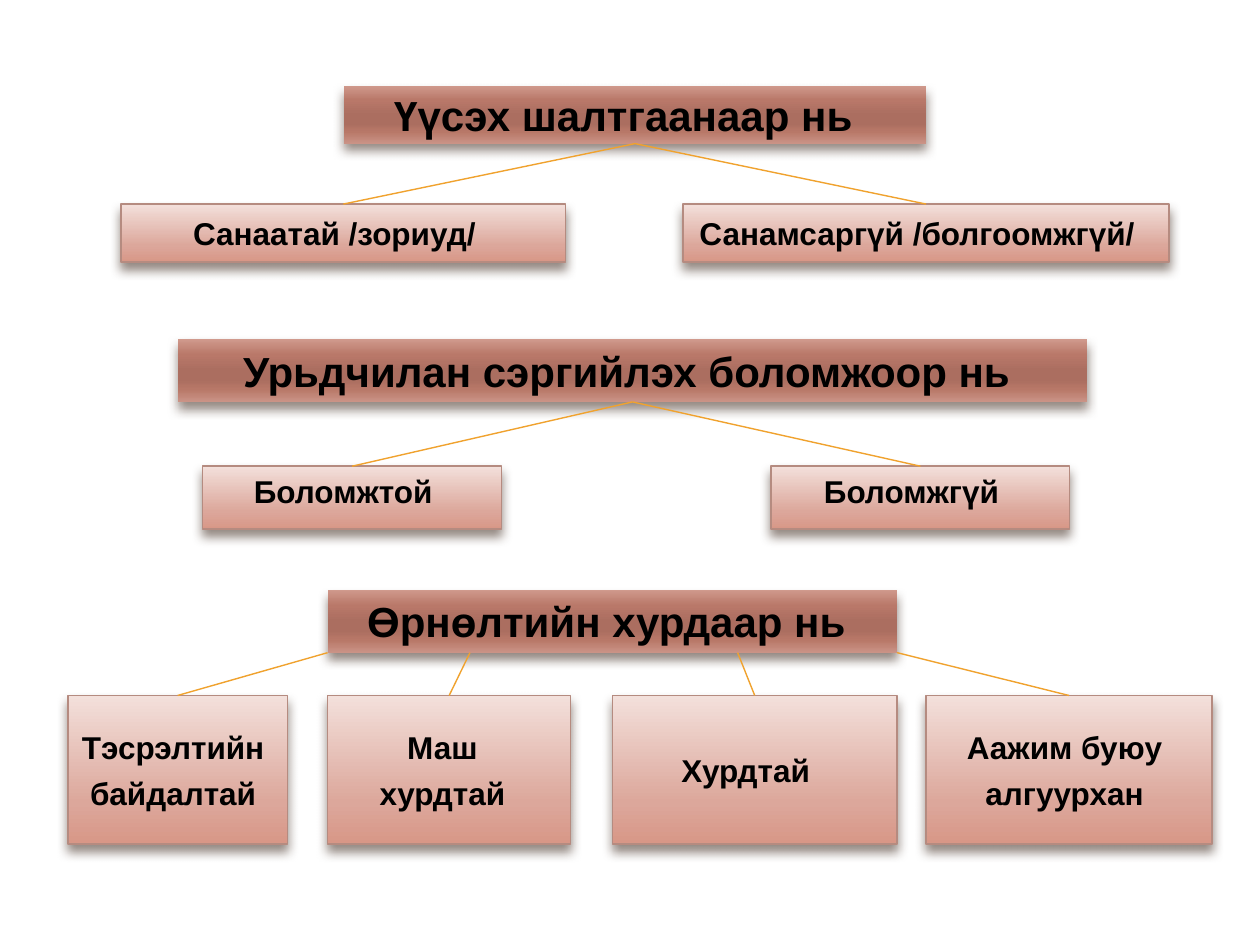
import pptx
import pptx.util
import pptx.dml.color
import pptx.enum.shapes
import pptx.enum.text
import pptx.oxml
import pptx.oxml.ns

qn = pptx.oxml.ns.qn
Pt = pptx.util.Pt
Anchor = pptx.enum.text.MSO_ANCHOR

deck = pptx.Presentation()
deck.slide_width = pptx.util.Inches(10)
deck.slide_height = pptx.util.Inches(7.5)
slide = deck.slides.add_slide(deck.slide_layouts[6])
column = deck.slide_width / 100
row = deck.slide_height / 75

HEADER_STOPS = [(0, "D09A8D"), (25, "B97869"), (50, "AB6E60"),
                (65, "AB6E60"), (80, "B87868"), (100, "CA9386")]
BRANCH_STOPS = [(0, "F3E0DB"), (72, "DCA79B"), (100, "D89787")]


def color(hex_value):
    return pptx.dml.color.RGBColor.from_string(hex_value)


def add_box(left, top, width, height, text, stops, size, anchor, offset):
    box = slide.shapes.add_shape(
        pptx.enum.shapes.MSO_SHAPE.RECTANGLE, round(left * column), round(top * row),
        round(width * column), round(height * row))
    box.fill.gradient()
    box.fill.gradient_angle = 270
    properties = box.element.spPr
    stop_list = properties.find(qn("a:gradFill")).find(qn("a:gsLst"))
    for stop in list(stop_list):
        stop_list.remove(stop)
    for position, shade in stops:
        stop_list.append(pptx.oxml.parse_xml(
            f'<a:gs {pptx.oxml.ns.nsdecls("a")} pos="{position * 1000}">'
            f'<a:srgbClr val="{shade}"/></a:gs>'))
    if stops is BRANCH_STOPS:
        box.line.color.rgb = color("B58B80")
        box.line.width = Pt(0.79)
    else:
        box.line.fill.background()
    box.shadow.inherit = False
    properties.find(qn("a:effectLst")).append(pptx.oxml.parse_xml(
        f'<a:outerShdw {pptx.oxml.ns.nsdecls("a")} blurRad="{Pt(6)}" dist="{Pt(4)}" '
        'dir="5400000" rotWithShape="0"><a:srgbClr val="4E3B30">'
        '<a:alpha val="60000"/></a:srgbClr></a:outerShdw>'))
    frame = box.text_frame
    frame.word_wrap = True
    frame.vertical_anchor = anchor
    frame.margin_right = round((1 + offset) * column)
    frame.text = text
    for index, paragraph in enumerate(frame.paragraphs):
        paragraph.alignment = pptx.enum.text.PP_ALIGN.CENTER
        paragraph.space_before = Pt(4.5 if index else 0)
        font = paragraph.runs[0].font
        font.name = "Arial"
        font.size = Pt(size)
        font.bold = True
        font.color.rgb = color("000000")


classifications = [
    {"header": (27.3, 6.8, 46.2, 4.6, "Үүсэх шалтгаанаар нь"),
     "header_anchor": Anchor.MIDDLE, "header_offset": 1.85,
     "top": 16.2, "height": 4.6, "anchor": Anchor.MIDDLE,
     "branches": [(9.6, 35.3, "Санаатай /зориуд/", 0.5, 1.4),
                  (54.2, 38.6, "Санамсаргүй /болгоомжгүй/", 0.5, 1.4)]},
    {"header": (14.1, 26.9, 72.2, 5, "Урьдчилан сэргийлэх боломжоор нь"),
     "header_anchor": Anchor.TOP, "header_offset": 0.93,
     "top": 37, "height": 5, "anchor": Anchor.TOP,
     "branches": [(16.1, 23.7, "Боломжтой", 0.5, 1.4),
                  (61.2, 23.7, "Боломжгүй", 0.5, 1.4)]},
    {"header": (26, 46.8, 45.2, 5, "Өрнөлтийн хурдаар нь"),
     "header_anchor": Anchor.TOP, "header_offset": 0.93,
     "top": 55.2, "height": 11.8, "anchor": Anchor.MIDDLE,
     "branches": [(5.4, 17.4, "Тэсрэлтийн\nбайдалтай", 0, 0.7),
                  (26, 19.3, "Маш\nхурдтай", 0.25, 1.05),
                  (48.6, 22.6, "Хурдтай", 0.72, 1.4),
                  (73.5, 22.7, "Аажим буюу\nалгуурхан", 1, 0.7)]},
]

for group in classifications:
    left, top, width, height, title = group["header"]
    add_box(left, top, width, height, title, HEADER_STOPS, 24,
            group["header_anchor"], group["header_offset"])
    for branch_left, branch_width, label, share, offset in group["branches"]:
        add_box(branch_left, group["top"], branch_width, group["height"], label,
                BRANCH_STOPS, 18, group["anchor"], offset)
        link = slide.shapes.add_connector(
            pptx.enum.shapes.MSO_CONNECTOR.STRAIGHT,
            round((left + share * width) * column), round((top + height) * row),
            round((branch_left + branch_width / 2) * column), round(group["top"] * row))
        link.line.color.rgb = color("F0A22E")
        link.line.width = Pt(0.79)
        link.element.spPr.append(pptx.oxml.parse_xml(
            f'<a:effectLst {pptx.oxml.ns.nsdecls("a")}/>'))

deck.save("out.pptx")
